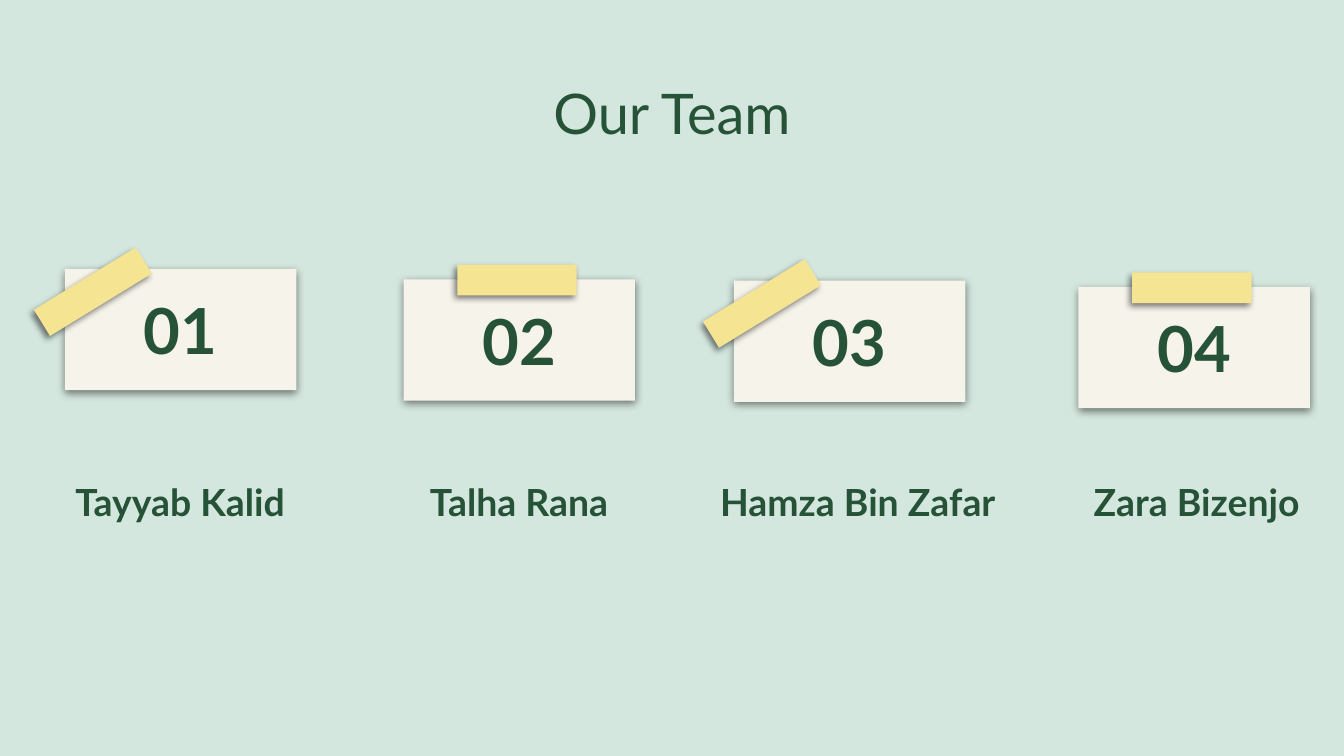
from pptx import Presentation
from pptx.dml.color import RGBColor
from pptx.enum import shapes, text
from pptx.oxml import parse_xml
from pptx.oxml.ns import nsdecls, qn
from pptx.util import Pt

COLORS = {"background": "D4E7DF", "text": "265237", "card": "F6F3EB",
          "tape": "F5E492", "shadow": "000000"}
FONT = "Lato"
CARD_W, CARD_H = 124, 65
TAPE_W, TAPE_H = 64, 16.5
NAME_LEFT, NAME_TOP, NAME_W, NAME_H = 5.8, 223.2, 181.5, 64.8

# number, name, card left, card top, whether the tape is tilted
TEAM = [
    ("01", "Tayyab Kalid", 34.8, 144, True),
    ("02", "Talha Rana", 216.2, 149.6, False),
    ("03", "Hamza Bin Zafar", 393.2, 150.3, True),
    ("04", "Zara Bizenjo", 577.8, 153.7, False),
]


def color(name):
    return RGBColor.from_string(COLORS[name])


def write(sp, content, size, bold=False, anchor=text.MSO_ANCHOR.MIDDLE):
    tf = sp.text_frame
    tf.word_wrap = True
    tf.vertical_anchor = anchor
    tf.margin_left = tf.margin_right = tf.margin_top = tf.margin_bottom = Pt(7.2)
    p = tf.paragraphs[0]
    p.alignment = text.PP_ALIGN.CENTER
    r = p.add_run()
    r.text = content
    r.font.name = FONT
    r.font.size = Pt(size)
    r.font.bold = bold
    r.font.color.rgb = color("text")


def add_text(s, box, content, size, **fmt):
    write(s.shapes.add_textbox(*map(Pt, box)), content, size, **fmt)


def add_paper(s, box, fill, blur, distance, angle):
    """Add a borderless rectangle with a soft half-transparent shadow."""
    sp = s.shapes.add_shape(shapes.MSO_SHAPE.RECTANGLE, *map(Pt, box))
    sp.fill.solid()
    sp.fill.fore_color.rgb = color(fill)
    sp.line.fill.background()
    sp.shadow.inherit = False
    effects = sp._element.spPr.find(qn("a:effectLst"))
    effects.append(parse_xml(
        f'<a:outerShdw {nsdecls("a")} blurRad="{Pt(blur)}" dist="{Pt(distance)}" '
        f'dir="{angle * 60000}" algn="bl" rotWithShape="0">'
        f'<a:srgbClr val="{COLORS["shadow"]}"><a:alpha val="50000"/></a:srgbClr>'
        '</a:outerShdw>'))
    return sp


def add_card(s, box, number, tilted):
    left, top = box[:2]
    card = add_paper(s, box, "card", blur=4.5, distance=1.5, angle=90)
    write(card, number, 34, bold=True)
    dx, dy = (-17, 4) if tilted else (28.8, -7.8)
    tape = add_paper(s, (left + dx, top + dy, TAPE_W, TAPE_H), "tape",
                     blur=3.4, distance=2.2, angle=129)
    if tilted:
        tape.rotation = 328.5


def add_team(s, left, top, width, height):
    """Place the cards, and the names in equal columns of the given box."""
    column = width / len(TEAM)
    for i, (number, name, card_left, card_top, tilted) in enumerate(TEAM):
        add_card(s, (card_left, card_top, CARD_W, CARD_H), number, tilted)
        add_text(s, (left + i * column, top, column, height), name, 20,
                 bold=True, anchor=text.MSO_ANCHOR.BOTTOM)


def main():
    prs = Presentation()
    prs.slide_width, prs.slide_height = Pt(720), Pt(405)
    s = prs.slides.add_slide(prs.slide_layouts[6])
    s.background.fill.solid()
    s.background.fill.fore_color.rgb = color("background")
    add_text(s, (56.7, 35.1, 606.6, 45), "Our Team", 30, anchor=text.MSO_ANCHOR.TOP)
    add_team(s, NAME_LEFT, NAME_TOP, NAME_W * len(TEAM), NAME_H)
    prs.save("out.pptx")


if __name__ == "__main__":
    main()
